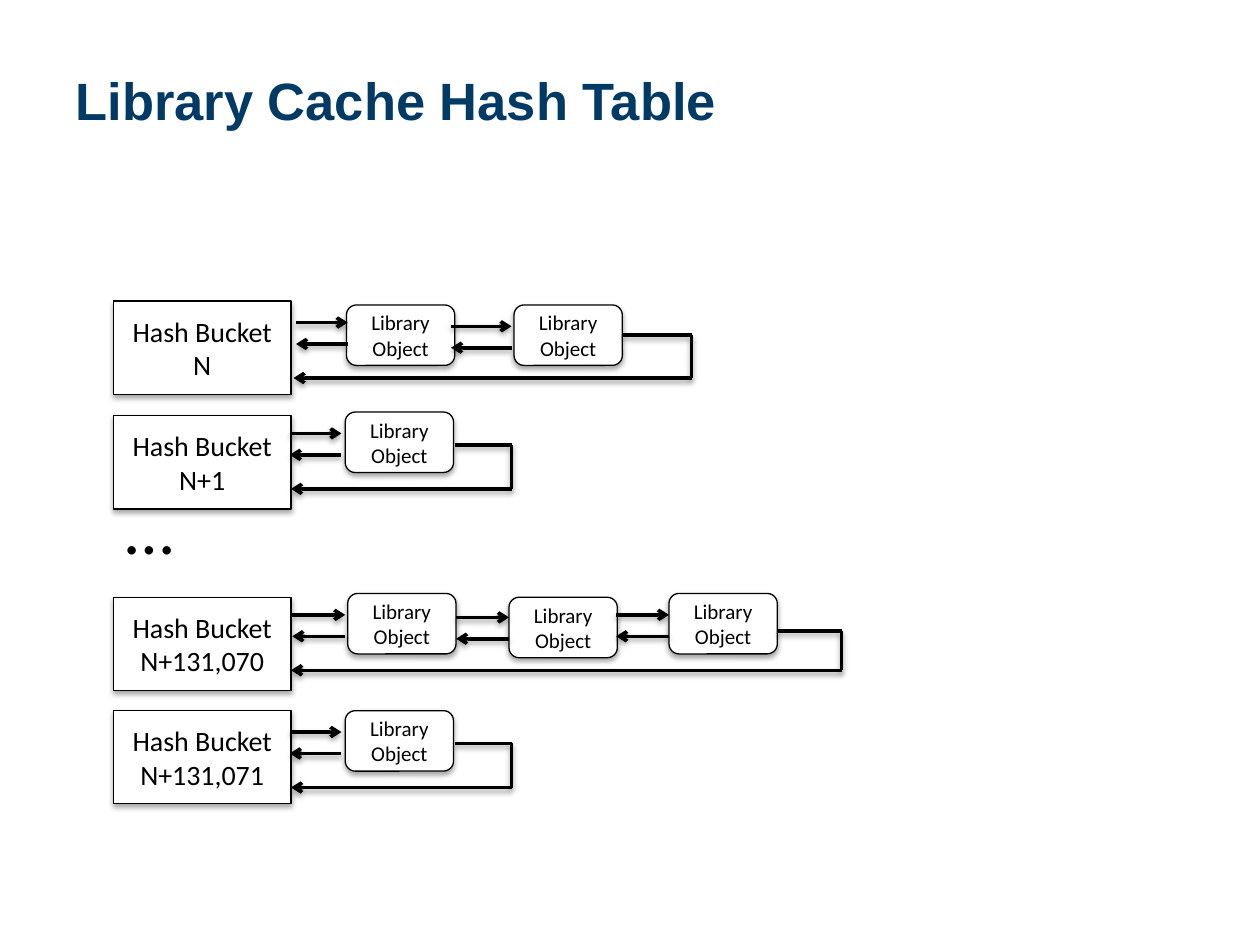
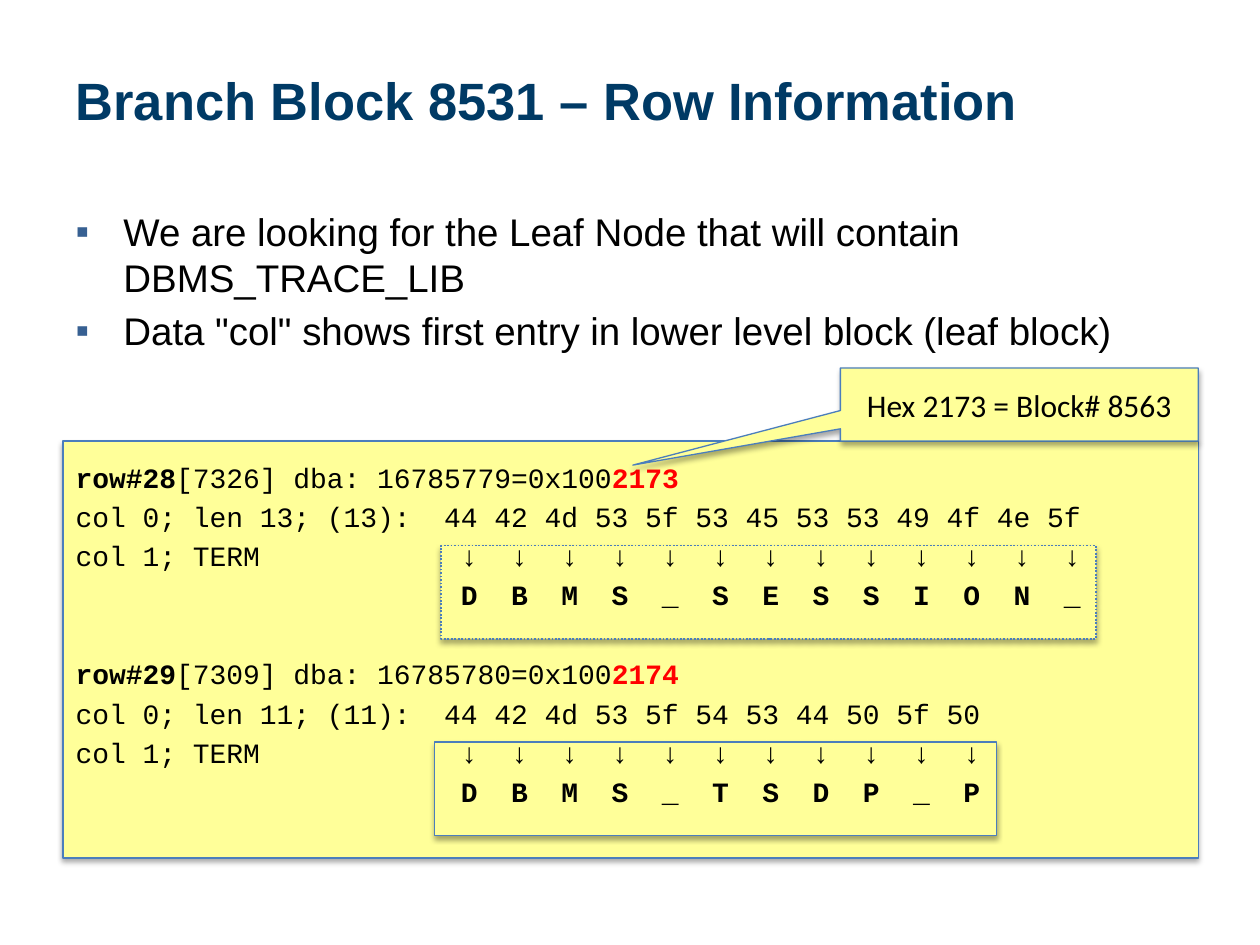
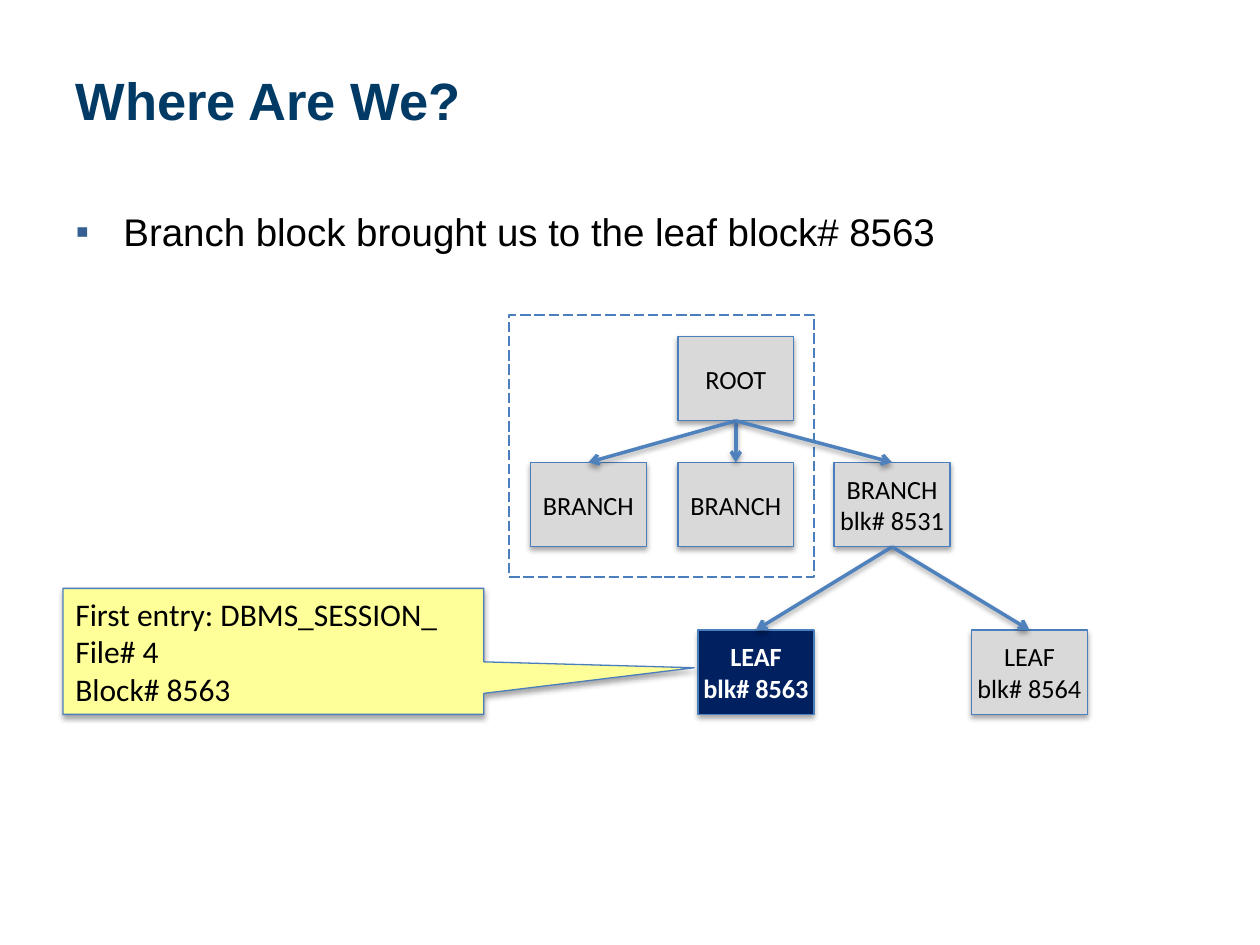
from dataclasses import dataclass

from pptx import Presentation
from pptx.dml.color import RGBColor as RGB
from pptx.enum.dml import MSO_LINE as Dash
from pptx.enum.shapes import MSO_CONNECTOR as Connector, MSO_SHAPE as Preset
from pptx.enum.text import MSO_ANCHOR as Anchor, MSO_AUTO_SIZE as AutoSize, PP_ALIGN as Align
from pptx.oxml import parse_xml
from pptx.oxml.ns import nsdecls, qn
from pptx.util import Pt

PX = 9144  # EMU in one px, 100 px to the inch


@dataclass(frozen=True)
class Theme:
    title_colour: RGB = RGB(0x00, 0x3A, 0x65)
    bullet_colour: RGB = RGB(0x37, 0x60, 0x92)
    outline: RGB = RGB(0x4B, 0x7E, 0xBC)
    arrow: RGB = RGB(0x4F, 0x81, 0xBD)
    yellow: RGB = RGB(0xFF, 0xFF, 0x99)
    grey: RGB = RGB(0xD9, 0xD9, 0xD9)
    navy: RGB = RGB(0x00, 0x20, 0x60)
    red: RGB = RGB(0xFF, 0x00, 0x00)
    black: RGB = RGB(0x00, 0x00, 0x00)
    white: RGB = RGB(0xFF, 0xFF, 0xFF)
    heading_font: str = "Arial"
    label_font: str = "Calibri"
    code_font: str = "Courier New"
    title_size: int = 30
    body_size: int = 22
    callout_size: int = 18
    bucket_size: int = 16
    code_size: int = 16
    node_size: int = 15
    object_size: int = 12
    dots_size: int = 40


theme = Theme()
SHADOW = (
    f'<a:effectLst {nsdecls("a")}><a:outerShdw blurRad="39370" dist="22860" dir="5400000" '
    'rotWithShape="0"><a:srgbClr val="000000"><a:alpha val="35000"/></a:srgbClr>'
    "</a:outerShdw></a:effectLst>"
)


def add_box(slide, preset, frame, fill, outline, text="", size=18, colour=theme.black,
            bold=False, align=Align.CENTER, shadow=True):
    shape = slide.shapes.add_shape(preset, *(length * PX for length in frame))
    shape.fill.solid()
    shape.fill.fore_color.rgb = fill
    shape.line.color.rgb = outline
    shape.line.width = Pt(0.75)
    shape.shadow.inherit = False
    if shadow:
        effects = shape._element.spPr.find(qn("a:effectLst"))
        effects.append(parse_xml(SHADOW)[0])
    text_frame = shape.text_frame
    text_frame.word_wrap = True
    text_frame.vertical_anchor = Anchor.MIDDLE
    for index, line in enumerate(text.split("\n") if text else []):
        paragraph = text_frame.add_paragraph() if index else text_frame.paragraphs[0]
        paragraph.alignment = align
        run = paragraph.add_run()
        run.text = line
        run.font.name = theme.label_font
        run.font.size = Pt(size)
        run.font.bold = bold
        run.font.color.rgb = colour
    return shape


def add_line(slide, start, end, colour=theme.black, arrow=True):
    points = (length * PX for length in (*start, *end))
    connector = slide.shapes.add_connector(Connector.STRAIGHT, *points)
    connector.line.color.rgb = colour
    connector.line.width = Pt(2)
    if arrow:
        connector.line._get_or_add_ln().append(
            parse_xml(f'<a:tailEnd {nsdecls("a")} type="arrow"/>'))
    connector._element.spPr.append(parse_xml(SHADOW))


presentation = Presentation()
presentation.slide_width = 1000 * PX
presentation.slide_height = 750 * PX

# Titles and bullet lists of all slides
outline = [
    ("Library Cache Hash Table", []),
    ("Branch Block 8531 – Row Information", [
        "We are looking for the Leaf Node that will contain DBMS_TRACE_LIB",
        'Data "col" shows first entry in lower level block (leaf block)',
    ]),
    ("Where Are We?", ["Branch block brought us to the leaf block# 8563"]),
]
for title_text, bullets in outline:
    layout = presentation.slide_layouts[1 if bullets else 5]
    slide = presentation.slides.add_slide(layout)
    title = slide.shapes.title
    title.left, title.top, title.width, title.height = 50 * PX, 30 * PX, 901 * PX, 98 * PX
    title.text_frame.auto_size = AutoSize.NONE
    title.text_frame.vertical_anchor = Anchor.MIDDLE
    paragraph = title.text_frame.paragraphs[0]
    paragraph.alignment = Align.LEFT
    run = paragraph.add_run()
    run.text = title_text
    run.font.name = theme.heading_font
    run.font.size = Pt(theme.title_size)
    run.font.bold = True
    run.font.color.rgb = theme.title_colour
    if not bullets:
        continue
    body = slide.placeholders[1]
    body.left, body.top, body.width, body.height = 50 * PX, 160 * PX, 901 * PX, 531 * PX
    body.text_frame.auto_size = AutoSize.NONE
    for index, bullet in enumerate(bullets):
        paragraph = body.text_frame.add_paragraph() if index else body.text_frame.paragraphs[0]
        properties = paragraph._p.get_or_add_pPr()
        properties.set("marL", str(38 * PX))
        properties.set("indent", str(-38 * PX))
        for markup in (
            f'<a:buClr {nsdecls("a")}><a:srgbClr val="{theme.bullet_colour}"/></a:buClr>',
            f'<a:buFont {nsdecls("a")} typeface="{theme.heading_font}"/>',
            f'<a:buChar {nsdecls("a")} char="▪"/>',
        ):
            properties.append(parse_xml(markup))
        paragraph.space_before = Pt(4 if index else 0)
        run = paragraph.add_run()
        run.text = bullet
        run.font.name = theme.heading_font
        run.font.size = Pt(theme.body_size)
        run.font.color.rgb = theme.black

hash_slide, branch_slide, tree_slide = presentation.slides

# Slide 1: hash buckets with their chains of library objects
# label, top, objects (left, top), links (left, right, top), loop (left, right, top, bottom, end)
chains = [
    ("N", 239, [(275, 242), (408, 242)], [(235, 276, 256), (358, 406, 259)],
     (494, 549, 266, 300, 233)),
    ("N+1", 330, [(274, 327)], [(230, 271, 344)], (361, 406, 353, 388, 231)),
    ("N+131,070", 474, [(276, 471), (404, 474), (531, 471)],
     [(232, 274, 488), (362, 404, 490), (489, 531, 488)], (617, 668, 501, 532, 231)),
    ("N+131,071", 564, [(274, 564)], [(230, 271, 581)], (361, 406, 590, 625, 231)),
]
for label, bucket_top, objects, links, loop in chains:
    add_box(hash_slide, Preset.RECTANGLE, (90, bucket_top, 141, 74), theme.white, theme.black,
            f"Hash Bucket\n{label}", theme.bucket_size)
    for left, top in objects:
        add_box(hash_slide, Preset.ROUNDED_RECTANGLE, (left, top, 86, 48), theme.white,
                theme.black, "Library Object", theme.object_size)
    for left, right, top in links:
        add_line(hash_slide, (left, top), (right, top))
        add_line(hash_slide, (right, top + 17), (left, top + 17))
    left, right, top, bottom, end = loop
    add_line(hash_slide, (left, top), (right, top), arrow=False)
    add_line(hash_slide, (right, top), (right, bottom), arrow=False)
    add_line(hash_slide, (right, bottom), (end, bottom))

# Dots for the buckets left out
dots = hash_slide.shapes.add_textbox(90 * PX, 408 * PX, 140 * PX, 20 * PX)
dots.text_frame.word_wrap = True
dots.text_frame.vertical_anchor = Anchor.MIDDLE
run = dots.text_frame.paragraphs[0].add_run()
run.text = "…"
run.font.name = theme.label_font
run.font.size = Pt(theme.dots_size)
run.font.color.rgb = theme.black

# Slide 2: panels behind the block dump
panels = [
    ((50, 350, 901, 331), None),
    ((345, 589, 446, 74), None),
    ((350, 433, 520, 74), Dash.ROUND_DOT),
]
for position, (frame, dash) in enumerate(panels, start=2):
    panel = add_box(branch_slide, Preset.RECTANGLE, frame, theme.yellow, theme.outline)
    if dash:
        panel.line.dash_style = dash
        panel.line.width = Pt(1)
    branch_slide.shapes._spTree.insert(position, panel._element)

# Block dump: space before, then runs of text, bold and colour
black, red = theme.black, theme.red
dump = [
    (61, [("row#28", True, black), ("[7326] dba: 16785779=0x100", False, black),
          ("2173", True, red)]),
    (3.2, [("col 0; len 13; (13):  44 42 4d 53 5f 53 45 53 53 49 4f 4e 5f", False, black)]),
    (3.2, [("col 1; TERM            ↓  ↓  ↓  ↓  ↓  ↓  ↓  ↓  ↓  ↓  ↓  ↓  ↓", False, black)]),
    (3.2, [("                       D  B  M  S  _  S  E  S  S  I  O  N  _", True, black)]),
    (26, [("row#29", True, black), ("[7309] dba: 16785780=0x100", False, black),
          ("2174", True, red)]),
    (3.2, [("col 0; len 11; (11):  44 42 4d 53 5f 54 53 44 50 5f 50", False, black)]),
    (3.2, [("col 1; TERM            ↓  ↓  ↓  ↓  ↓  ↓  ↓  ↓  ↓  ↓  ↓", False, black)]),
    (3.2, [("                       D  B  M  S  _  T  S  D  P  _  P", True, black)]),
]
for space_before, pieces in dump:
    paragraph = branch_slide.placeholders[1].text_frame.add_paragraph()
    properties = paragraph._p.get_or_add_pPr()
    properties.set("marL", "0")
    properties.set("indent", "0")
    properties.append(parse_xml(f'<a:buNone {nsdecls("a")}/>'))
    paragraph.space_before = Pt(space_before)
    for text, bold, colour in pieces:
        run = paragraph.add_run()
        run.text = text
        run.font.name = theme.code_font
        run.font.size = Pt(theme.code_size)
        run.font.bold = bold
        run.font.color.rgb = colour

block_callout = add_box(branch_slide, Preset.RECTANGULAR_CALLOUT, (667, 292, 284, 58),
                        theme.yellow, theme.outline, "Hex 2173 = Block# 8563",
                        theme.callout_size)
block_callout.adjustments[0] = -1.08
block_callout.adjustments[1] = 0.83

# Slide 3: index tree
visited = add_box(tree_slide, Preset.RECTANGLE, (404, 250, 242, 208), theme.white,
                  theme.outline, shadow=False)
visited.line.dash_style = Dash.LONG_DASH

node_width, node_height = 92, 67
nodes = {
    "root": (538, 267, "ROOT"),
    "left branch": (421, 367, "BRANCH"),
    "middle branch": (538, 367, "BRANCH"),
    "right branch": (662, 367, "BRANCH\nblk# 8531"),
    "found leaf": (554, 500, "LEAF\nblk# 8563"),
    "next leaf": (771, 500, "LEAF\nblk# 8564"),
}
for name, (left, top, text) in nodes.items():
    found = name == "found leaf"
    node = add_box(tree_slide, Preset.RECTANGLE, (left, top, node_width, node_height),
                   theme.navy if found else theme.grey, theme.outline, text, theme.node_size,
                   theme.white if found else theme.black, bold=found)
    node.text_frame.margin_left = node.text_frame.margin_right = 0

edges = [
    ("root", "left branch"), ("root", "middle branch"), ("root", "right branch"),
    ("right branch", "found leaf"), ("right branch", "next leaf"),
]
for parent, child in edges:
    parent_left, parent_top, _ = nodes[parent]
    child_left, child_top, _ = nodes[child]
    add_line(tree_slide, (parent_left + node_width // 2, parent_top + node_height),
             (child_left + node_width // 2, child_top), theme.arrow)

leaf_callout = add_box(tree_slide, Preset.RECTANGULAR_CALLOUT, (50, 467, 334, 100),
                       theme.yellow, theme.outline,
                       "First entry: DBMS_SESSION_\nFile# 4\nBlock# 8563",
                       theme.callout_size, align=Align.LEFT)
leaf_callout.text_frame.vertical_anchor = Anchor.TOP
leaf_callout.adjustments[0] = 1
leaf_callout.adjustments[1] = 0.13

presentation.save("out.pptx")
